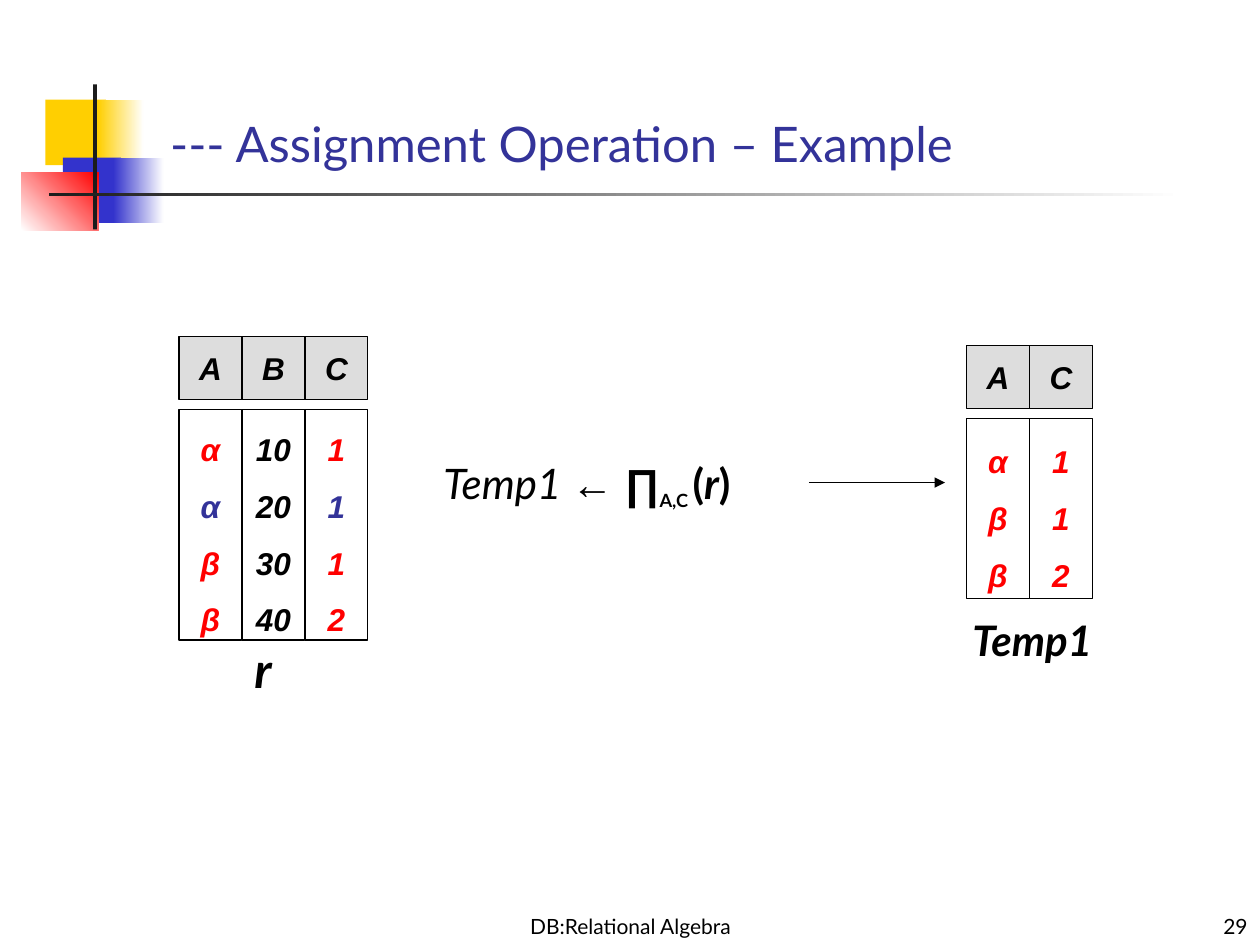
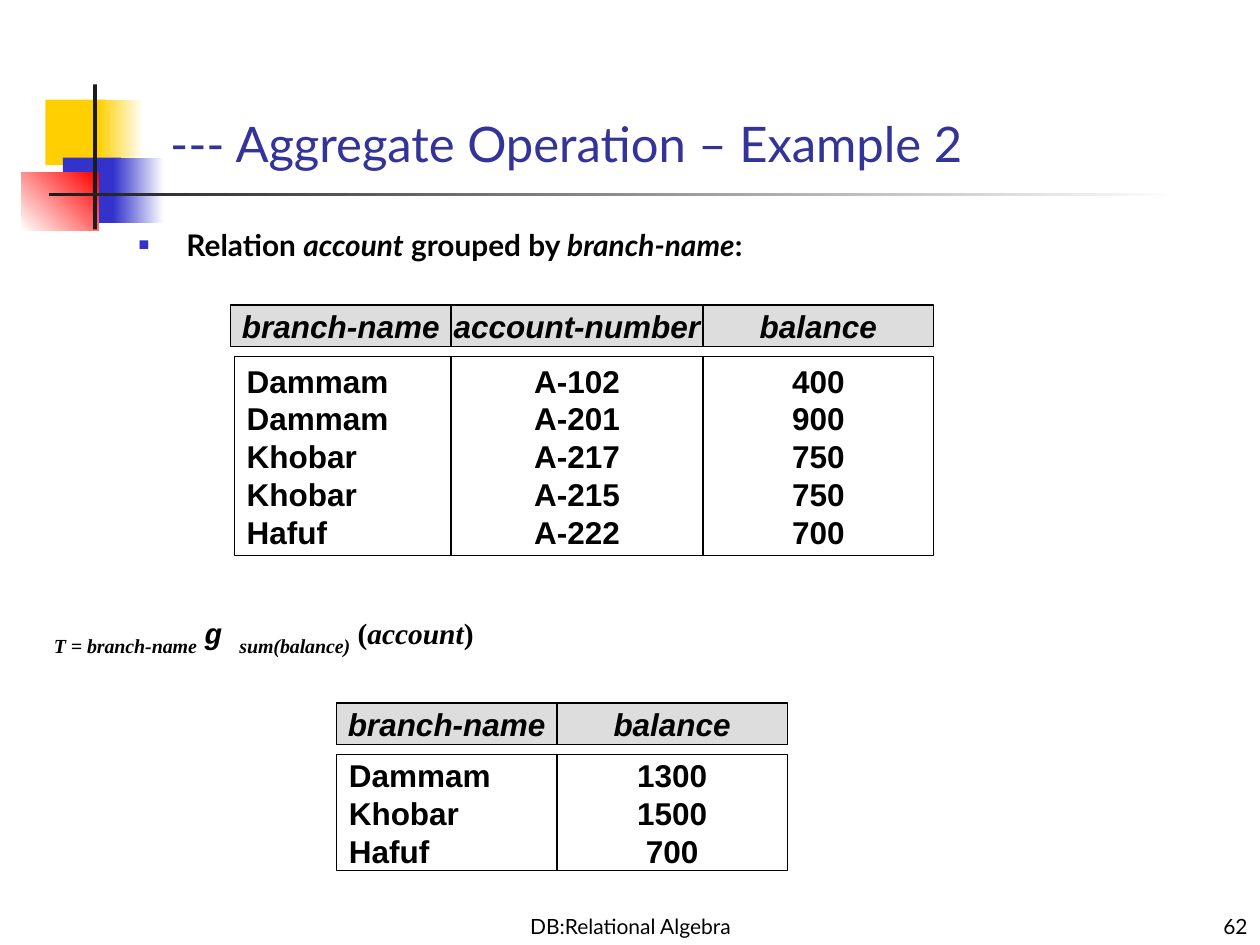
from lxml import etree
from pptx import Presentation
from pptx.dml.color import RGBColor
from pptx.enum import shapes, text
from pptx.oxml import ns
from pptx.util import Inches, Pt

HUES = {
    "white": "FFFFFF", "black": "000000", "gold": "FFCF01", "blue": "3333CC",
    "red": "FF0000", "ink": "1C1C1C", "title": "333399", "grey": "DDDDDD",
}
LEFT, MID, RIGHT = text.PP_ALIGN.LEFT, text.PP_ALIGN.CENTER, text.PP_ALIGN.RIGHT
SANS, HEAD, SERIF, MONO = "Lato", "Arial", "Times New Roman", "Courier New"


def rgb(name):
    """Return the named colour."""
    return RGBColor.from_string(HUES[name])


def style(run, size=18, face=SANS, hue="black", bold=False, ital=False, drop=False):
    """Format one run; drop makes it a subscript."""
    font = run.font
    font.size, font.name, font.bold, font.italic = Pt(size), face, bold, ital
    font.color.rgb = rgb(hue)
    if drop:
        run._r.get_or_add_rPr().set("baseline", "-25000")


def write(par, parts, **base):
    """Add (text, changes) parts to a paragraph as styled runs."""
    for words, change in parts:
        run = par.add_run()
        run.text = words
        style(run, **{**base, **change})


def place(item, box):
    """Move a shape to a box given in inches."""
    item.left, item.top, item.width, item.height = map(Inches, box)


def rect(slide, box, fill, fade=None, turn=0):
    """Draw a plain or fading rectangle without outline."""
    item = slide.shapes.add_shape(shapes.MSO_SHAPE.RECTANGLE, *map(Inches, box))
    item.shadow.inherit = False
    item.line.fill.background()
    if fade:
        item.fill.gradient()
        item.fill.gradient_angle = turn
        for stop, hue in zip(item.fill.gradient_stops, (fill, fade)):
            stop.color.rgb = rgb(hue)
    else:
        item.fill.solid()
        item.fill.fore_color.rgb = rgb(fill)
    return item


def label(slide, box, parts, align=LEFT, low=False, wrap=True, **base):
    """Add a text box with one paragraph and return that paragraph."""
    frame = slide.shapes.add_textbox(*map(Inches, box)).text_frame
    frame.word_wrap = wrap
    if low:
        frame.vertical_anchor = text.MSO_ANCHOR.BOTTOM
    if not wrap:
        frame.auto_size = text.MSO_AUTO_SIZE.SHAPE_TO_FIT_TEXT
    par = frame.paragraphs[0]
    par.alignment = align
    write(par, parts, **base)
    return par


def badge(deck, slide):
    """Draw the corner squares and rules and move them to the master."""
    parts = [
        ((0.36, 0.79, 0.48, 0.52), "gold"),
        ((0.78, 0.79, 0.36, 0.52), "gold", "white"),
        ((0.5, 1.25, 0.46, 0.52), "blue"),
        ((0.9, 1.25, 0.4, 0.52), "blue", "white"),
        ((0.17, 1.37, 0.61, 0.46), "white", "red", 45),
        ((0.74, 0.67, 0.03, 1.15), "ink"),
        ((0.39, 1.53, 9, 0.03), "ink", "white"),
    ]
    tree = deck.slide_master.shapes.element
    for i, part in enumerate(parts):
        item = rect(slide, *part).element
        item.xpath("./p:nvSpPr/p:cNvPr")[0].set("id", str(20 + i))
        tree.insert(2 + i, item)


def start(deck, layout, title, number):
    """Add a slide with its title and footers."""
    slide = deck.slides.add_slide(deck.slide_layouts[layout])
    label(slide, (3.42, 7.08, 3.17, 0.42), [("DB:Relational Algebra", {})],
          MID, low=True, size=12)
    label(slide, (7.92, 7.08, 2.08, 0.42), [(number, {})], RIGHT, low=True, size=12)
    head = slide.shapes.title
    place(head, (1.25, 0.75, 8.52, 0.67))
    frame = head.text_frame
    frame.text = title
    frame.auto_size = text.MSO_AUTO_SIZE.NONE
    frame.vertical_anchor = text.MSO_ANCHOR.BOTTOM
    par = frame.paragraphs[0]
    par.alignment = LEFT
    style(par.runs[0], 28, hue="title")
    return slide


def cell(slide, box, lines, fill, tints=None, align=MID, ital=True, gap=1):
    """Draw an outlined box with one paragraph per line."""
    item = rect(slide, box, fill)
    item.line.color.rgb = rgb("black")
    item.line.width = Pt(0.75)
    frame = item.text_frame
    frame.word_wrap = False
    frame.vertical_anchor = text.MSO_ANCHOR.MIDDLE
    frame.text = "\n".join(lines)
    for par, hue in zip(frame.paragraphs, tints or ["black"] * len(lines)):
        par.alignment, par.line_spacing = align, gap
        style(par.runs[0], face=HEAD, hue=hue, bold=True, ital=ital)


def table(slide, left, top, cols, high, deep, shift=0, **look):
    """Draw a relation: a header band, a gap, and a box for each column."""
    x = left
    for name, wide, words, extra in cols:
        nudge = shift if x == left else 0
        cell(slide, (x, top, wide, high), [name], "grey")
        cell(slide, (x + nudge, top + high + 0.08, wide, deep), words.split(),
             "white", **look, **extra)
        x += wide


def arrow(slide, x, y, end):
    """Draw a level arrow."""
    line = slide.shapes.add_connector(
        shapes.MSO_CONNECTOR.STRAIGHT, *map(Inches, (x, y, end, y)))
    line.line.color.rgb = rgb("black")
    line.line.width = Pt(0.75)
    props = line.element.spPr
    etree.SubElement(line.line._get_or_add_ln(), ns.qn("a:tailEnd"), type="triangle")
    etree.SubElement(props, ns.qn("a:effectLst"))


def bullet(par):
    """Give a paragraph a small square bullet."""
    props = par._p.get_or_add_pPr()
    props.set("marL", str(Inches(0.38)))
    props.set("indent", str(Inches(-0.38)))
    hue = etree.SubElement(props, ns.qn("a:buClr"))
    etree.SubElement(hue, ns.qn("a:srgbClr"), val=HUES["blue"])
    etree.SubElement(props, ns.qn("a:buSzPct"), val="60000")
    etree.SubElement(props, ns.qn("a:buFont"), typeface=HEAD)
    etree.SubElement(props, ns.qn("a:buChar"), char="■")
    par.space_before = Pt(0)


def assign(deck):
    """Build the assignment example."""
    slide = start(deck, 5, "--- Assignment Operation – Example", "29")
    badge(deck, slide)
    mixed = {"tints": ["red", "title", "red", "red"]}
    table(slide, 1.42, 2.67, [("A", 0.5, "α α β β", mixed),
                              ("B", 0.5, "10 20 30 40", {}),
                              ("C", 0.5, "1 1 1 2", mixed)], 0.5, 1.83, gap=1.5)
    label(slide, (3.42, 3.58, 3.08, 0.64), [
        ("Temp1 ", {"ital": True, "bold": False}), ("← ∏", {"face": HEAD}),
        ("A,C ", {"size": 18, "drop": True}), ("(", {}),
        ("r", {"ital": True}), (")", {})], size=24, bold=True)
    label(slide, (1.92, 5.03, 0.36, 0.57), [("r", {})], wrap=False,
          size=28, bold=True, ital=True)
    table(slide, 7.67, 2.74, [("A", 0.5, "α β β", {}), ("C", 0.5, "1 1 2", {})],
          0.5, 1.43, gap=1.5, tints=["red"] * 3)
    label(slide, (7.62, 4.83, 1.24, 0.5), [("Temp1", {})], wrap=False,
          size=24, bold=True, ital=True)
    arrow(slide, 6.42, 3.83, 7.5)


def total(deck):
    """Build the aggregate example."""
    slide = start(deck, 1, "--- Aggregate Operation – Example 2", "62")
    body = slide.placeholders[1]
    place(body, (1, 1.75, 7.91, 0.41))
    body.text_frame.auto_size = text.MSO_AUTO_SIZE.NONE
    par = body.text_frame.paragraphs[0]
    bullet(par)
    slant = {"ital": True}
    write(par, [("Relation ", {}), ("account", slant), (" grouped by ", {}),
                ("branch-name", slant), (":", {})], size=17, bold=True)
    sub = {"size": 19.6, "ital": True, "drop": True}
    par = label(slide, (0.33, 4.83, 8.52, 0.45), [
        ("T = branch-name", sub), (" ", {}), ("g ", {"face": MONO, "ital": True}),
        ("sum(balance)", sub), (" (", {}), ("account", slant), (")", {})],
        size=16.8, face=SERIF, bold=True)
    par.line_spacing = 0.8
    side = {"align": LEFT}
    table(slide, 1.83, 2.42, [
        ("branch-name", 1.75, "Dammam Dammam Khobar Khobar Hafuf", side),
        ("account-number", 2, "A-102 A-201 A-217 A-215 A-222", {}),
        ("balance", 1.83, "400 900 750 750 700", {})], 0.33, 1.58, 0.03, ital=False)
    table(slide, 2.67, 5.58, [
        ("branch-name", 1.75, "Dammam Khobar Hafuf", side),
        ("balance", 1.83, "1300 1500 700", {})], 0.33, 0.92, ital=False)


def main():
    """Build and save the deck."""
    deck = Presentation()
    deck.slide_width, deck.slide_height = Inches(10), Inches(7.5)
    assign(deck)
    total(deck)
    deck.save("out.pptx")


if __name__ == "__main__":
    main()
